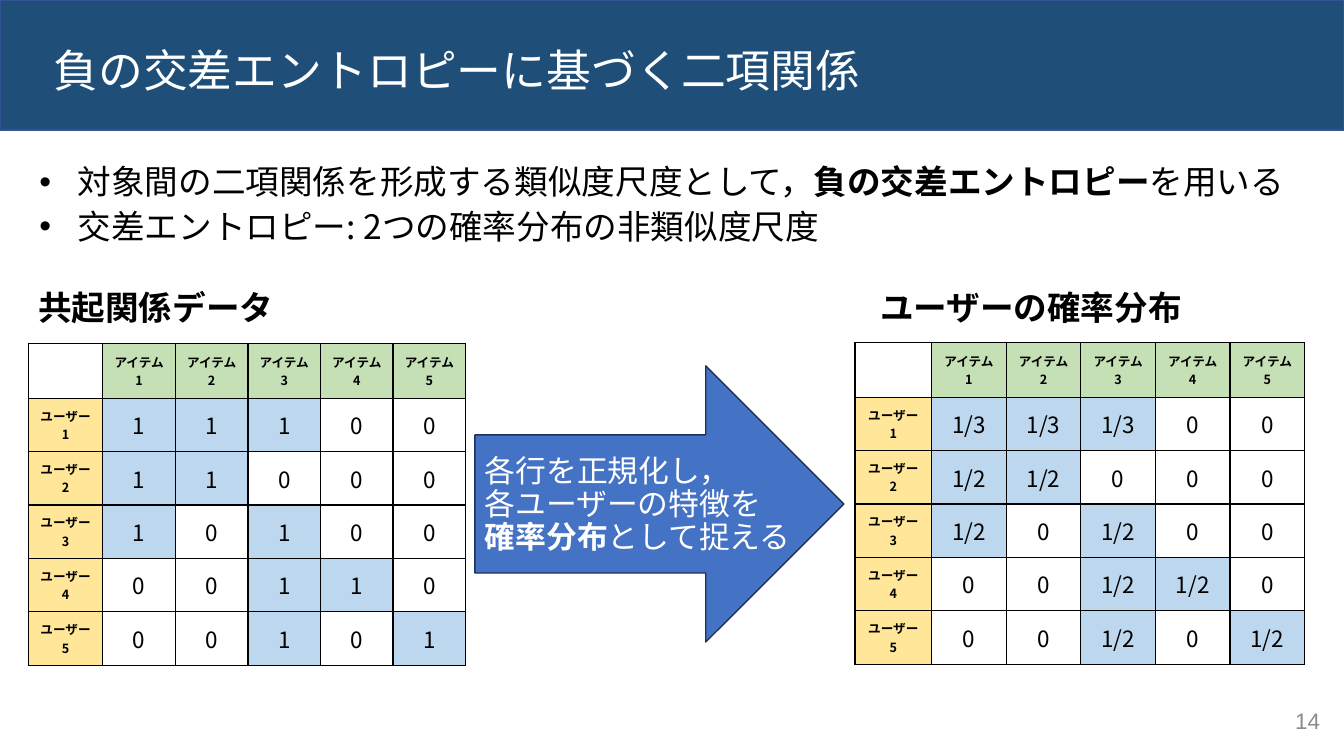
from dataclasses import dataclass
from lxml.etree import SubElement
from pptx import Presentation
from pptx.dml.color import RGBColor
from pptx.enum.shapes import MSO_SHAPE
from pptx.enum.text import MSO_ANCHOR, MSO_AUTO_SIZE, PP_ALIGN
from pptx.oxml.ns import qn
from pptx.util import Inches, Pt


@dataclass(frozen=True)
class Theme:
    font: str = "Noto Sans CJK JP"
    plain: str = "Arial"
    white: str = "FFFFFF"
    black: str = "000000"
    gray: str = "8C8C8C"
    navy: str = "1F4E79"
    edge: str = "325491"
    blue: str = "4472C4"
    rim: str = "1E3256"
    green: str = "C5E0B4"
    gold: str = "FFE699"
    sky: str = "BDD7EE"
    title: int = 32
    body: int = 24
    note: int = 22
    small: int = 16
    tiny: int = 9


THEME = Theme()
LINKS = [
    [1, 1, 1, 0, 0],
    [1, 1, 0, 0, 0],
    [1, 0, 1, 0, 0],
    [0, 0, 1, 1, 0],
    [0, 0, 1, 0, 1],
]


def paint(fill, color):
    fill.solid()
    fill.fore_color.rgb = RGBColor.from_string(color)


def place(shape, left, top, width, height):
    shape.left, shape.top = Inches(left), Inches(top)
    shape.width, shape.height = Inches(width), Inches(height)


def write(para, text, size, color=THEME.black, bold=False, face=THEME.font):
    run = para.add_run()
    run.text = text
    font = run.font
    font.size, font.bold, font.name = Pt(size), bold, face
    font.color.rgb = RGBColor.from_string(color)
    SubElement(run._r.get_or_add_rPr(), qn("a:ea")).set("typeface", face)


def add_box(slide, left, top, width, height, wrap=True):
    box = slide.shapes.add_textbox(
        Inches(left), Inches(top), Inches(width), Inches(height))
    box.text_frame.word_wrap = wrap
    return box.text_frame


def add_form(slide, kind, left, top, width, height, color, edge):
    form = slide.shapes.add_shape(
        kind, Inches(left), Inches(top), Inches(width), Inches(height))
    form.shadow.inherit = False
    paint(form.fill, color)
    paint(form.line.fill, edge)
    form.line.width = Pt(1)
    return form


def add_title(slide, text):
    band = add_form(slide, MSO_SHAPE.RECTANGLE, 0, 0, 13.33, 1.29,
                    THEME.navy, THEME.edge)
    slide.shapes._spTree.insert(2, band._element)
    title = slide.shapes.title
    place(title, 0.43, 0.16, 12.52, 1.13)
    frame = title.text_frame
    frame.auto_size = MSO_AUTO_SIZE.NONE
    frame.vertical_anchor = MSO_ANCHOR.MIDDLE
    para = frame.paragraphs[0]
    para.alignment = PP_ALIGN.LEFT
    para.line_spacing = 0.9
    write(para, text, THEME.title, THEME.white)


def add_list(slide, items):
    body = slide.placeholders[1]
    place(body, 0.29, 1.55, 12.7, 1.14)
    frame = body.text_frame
    frame.auto_size = MSO_AUTO_SIZE.NONE
    frame.vertical_anchor = MSO_ANCHOR.TOP
    for row, parts in enumerate(items):
        para = frame.add_paragraph() if row else frame.paragraphs[0]
        props = para._p.get_or_add_pPr()
        props.set("marL", str(Inches(0.38)))
        props.set("indent", str(-Inches(0.38)))
        SubElement(props, qn("a:buFont")).set("typeface", THEME.plain)
        SubElement(props, qn("a:buChar")).set("char", "•")
        para.space_before = Pt(3 if row else 0)
        for text, bold in parts:
            write(para, text, THEME.body, bold=bold)


def add_label(slide, left, width, text):
    frame = add_box(slide, left, 2.8, width, 0.58, wrap=False)
    write(frame.paragraphs[0], text, THEME.body, bold=True)


def frame_cell(cell):
    props = cell._tc.get_or_add_tcPr()
    for side in ("lnL", "lnR", "lnT", "lnB"):
        line = SubElement(props, qn(f"a:{side}"), w=str(Pt(1)))
        fill = SubElement(line, qn("a:solidFill"))
        SubElement(fill, qn("a:srgbClr"), val=THEME.black)


def fill_cell(cell, text, size, color, bold):
    frame_cell(cell)
    paint(cell.fill, color)
    cell.vertical_anchor = MSO_ANCHOR.MIDDLE
    if text:
        para = cell.text_frame.paragraphs[0]
        para.alignment = PP_ALIGN.CENTER
        write(para, text, size, bold=bold)


def add_grid(slide, left, top, first, step, values):
    count = len(values[0])
    heads = [""] + [f"アイテム{n}" for n in range(1, count + 1)]
    rows = [heads] + [[f"ユーザー{n}"] + row
                      for n, row in enumerate(values, 1)]
    table = slide.shapes.add_table(
        len(rows), len(heads), Inches(left), Inches(top),
        Inches(first + step * count), Inches(3.2)).table
    table.first_row = table.horz_banding = False
    for x, col in enumerate(table.columns):
        col.width = Inches(step if x else first)
    for y, row in enumerate(rows):
        table.rows[y].height = Inches(0.53 if y else 0.54)
        for x, text in enumerate(row):
            if x and y:
                color = THEME.white if text == "0" else THEME.sky
                size = THEME.small
            else:
                color = THEME.green if x else THEME.gold if y else THEME.white
                size = THEME.tiny
            fill_cell(table.cell(y, x), text, size, color, not (x and y))


def add_arrow(slide):
    add_form(slide, MSO_SHAPE.RIGHT_ARROW, 4.71, 3.63, 3.66, 2.74,
             THEME.blue, THEME.rim)
    frame = add_box(slide, 4.71, 4.47, 3.3, 1.12)
    first, second = frame.paragraphs[0], frame.add_paragraph()
    for para in (first, second):
        para.line_spacing = Pt(23.6)
    write(first, "各行を正規化し，", THEME.note, THEME.white)
    write(second, "各ユーザーの特徴を", THEME.note, THEME.white)
    second.add_line_break()
    write(second, "確率分布", THEME.note, THEME.white, bold=True)
    write(second, "として捉える", THEME.note, THEME.white)


def add_page(slide, text):
    frame = add_box(slide, 10.19, 6.95, 3, 0.4)
    frame.vertical_anchor = MSO_ANCHOR.MIDDLE
    para = frame.paragraphs[0]
    para.alignment = PP_ALIGN.RIGHT
    write(para, text, THEME.small, THEME.gray, face=THEME.plain)


def main():
    deck = Presentation()
    deck.slide_width, deck.slide_height = Inches(13.33), Inches(7.5)
    slide = deck.slides.add_slide(deck.slide_layouts[1])
    add_title(slide, "負の交差エントロピーに基づく二項関係")
    add_list(slide, [
        [("対象間の二項関係を形成する類似度尺度として，", False),
         ("負の交差エントロピー", True), ("を用いる", False)],
        [("交差エントロピー: 2つの確率分布の非類似度尺度", False)],
    ])
    counts = [[str(n) for n in row] for row in LINKS]
    shares = [[f"1/{sum(row)}" if n else "0" for n in row] for row in LINKS]
    add_label(slide, 0.28, 2.56, "共起関係データ")
    add_grid(slide, 0.28, 3.41, 0.74, 0.72, counts)
    add_arrow(slide)
    add_label(slide, 8.63, 3.23, "ユーザーの確率分布")
    add_grid(slide, 8.48, 3.4, 0.76, 0.74, shares)
    add_page(slide, "14")
    deck.save("out.pptx")


if __name__ == "__main__":
    main()
